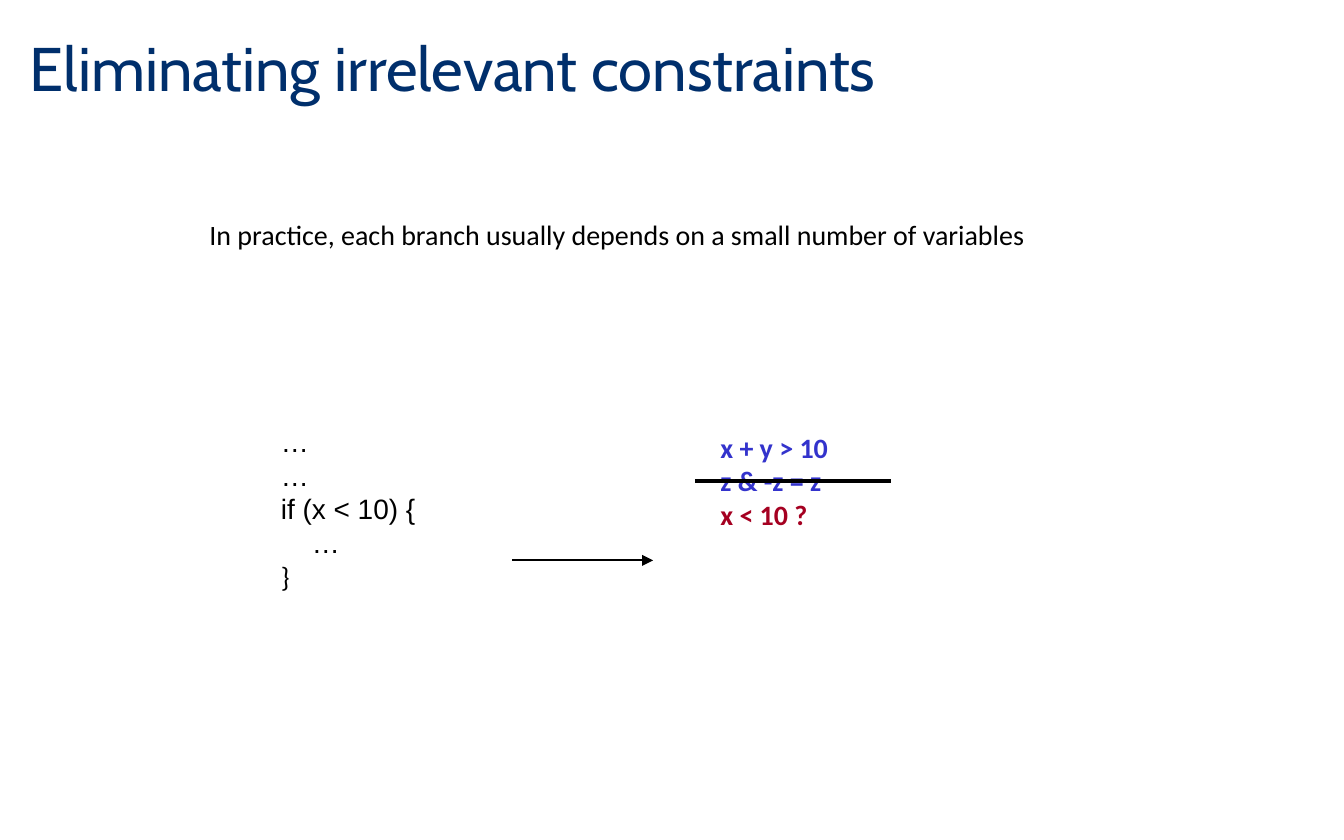
from pptx import Presentation
from pptx.dml.color import RGBColor
from pptx.enum.shapes import MSO_CONNECTOR
from pptx.enum.text import MSO_ANCHOR, PP_ALIGN
from pptx.oxml.ns import qn
from pptx.util import Inches, Pt
from lxml.etree import SubElement

COLORS = {"title": "002F6C", "ink": "000000", "known": "3333CC", "query": "A50021"}


def style(para, font, size, color, bold=False):
    for run in para.runs:
        run.font.name = font
        run.font.size = Pt(size)
        run.font.bold = bold
        run.font.color.rgb = RGBColor.from_string(COLORS[color])


def add_title(slide, left, top, width, height):
    title = slide.shapes.title
    title.left, title.top = Inches(left), Inches(top)
    title.width, title.height = Inches(width), Inches(height)
    frame = title.text_frame
    frame.text = "Eliminating irrelevant constraints"
    frame.vertical_anchor = MSO_ANCHOR.MIDDLE
    para = frame.paragraphs[0]
    para.alignment = PP_ALIGN.LEFT
    para.line_spacing = 0.9
    style(para, "Cabin", 33, "title")


def add_text(slide, left, top, width, height, rows, inset=(0.08, 0.04)):
    """Add a box with one paragraph per (text, font, color, bold) row."""
    box = slide.shapes.add_textbox(
        Inches(left), Inches(top), Inches(width), Inches(height))
    frame = box.text_frame
    frame.word_wrap = True
    frame.margin_left = frame.margin_right = Inches(inset[0])
    frame.margin_top = frame.margin_bottom = Inches(inset[1])
    for i, (text, font, color, bold) in enumerate(rows):
        para = frame.add_paragraph() if i else frame.paragraphs[0]
        para.text = text
        style(para, font, 15, color, bold)
    return frame


def add_line(slide, left, top, width, weight, arrow=False):
    line = slide.shapes.add_connector(
        MSO_CONNECTOR.STRAIGHT, Inches(left), Inches(top),
        Inches(left + width), Inches(top))
    line.line.color.rgb = RGBColor.from_string(COLORS["ink"])
    line.line.width = Pt(weight)
    if arrow:
        SubElement(line.line._get_or_add_ln(), qn("a:tailEnd"), type="triangle")
    SubElement(line._element.spPr, qn("a:effectLst"))


def add_claim(slide, left, top, width, height):
    text = "In practice, each branch usually depends on a small number of variables"
    frame = add_text(slide, left, top, width, height,
                     [(text, "Calibri", "ink", False)], (0.1, 0.05))
    frame.paragraphs[0].line_spacing = 0.9


def add_rules(slide, left, top, width, height):
    """Constraints, with the irrelevant second one struck out."""
    rows = [("x + y > 10", "known"), ("z & -z = z", "known"), ("x < 10 ?", "query")]
    add_text(slide, left, top, width, height,
             [(text, "Calibri", color, True) for text, color in rows])
    add_line(slide, left - 0.11, top + height / 2, 1.46, 2)


def add_code(slide, left, top, width, height):
    """Branch code, with an arrow leading to its constraints."""
    rows = [(text, "Arial", "ink", False)
            for text in ("…", "…", "if (x < 10) {", "    …")]
    rows.append(("}", "Calibri", "ink", False))
    add_text(slide, left, top, width, height, rows)
    add_line(slide, left + 1.8, top + 1.05, 1.05, 1, arrow=True)


def main():
    deck = Presentation()
    deck.slide_width, deck.slide_height = Inches(10), Inches(6.25)
    slide = deck.slides.add_slide(deck.slide_layouts[5])
    add_claim(slide, 1.46, 1.6, 7.15, 0.69)
    add_rules(slide, 5.28, 3.16, 2.01, 0.84)
    add_code(slide, 2.01, 3.12, 1.58, 1.35)
    add_title(slide, 0.12, 0.1, 8.52, 0.86)
    deck.save("out.pptx")


if __name__ == "__main__":
    main()
